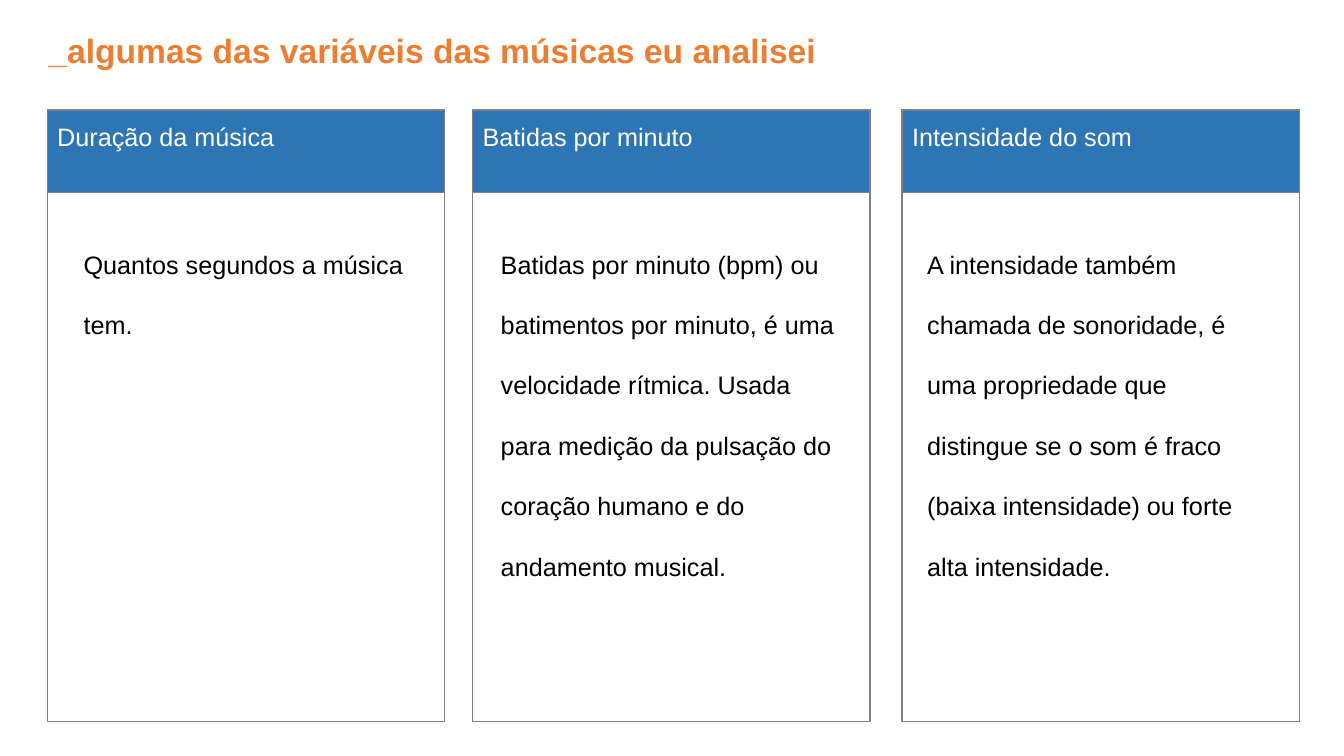
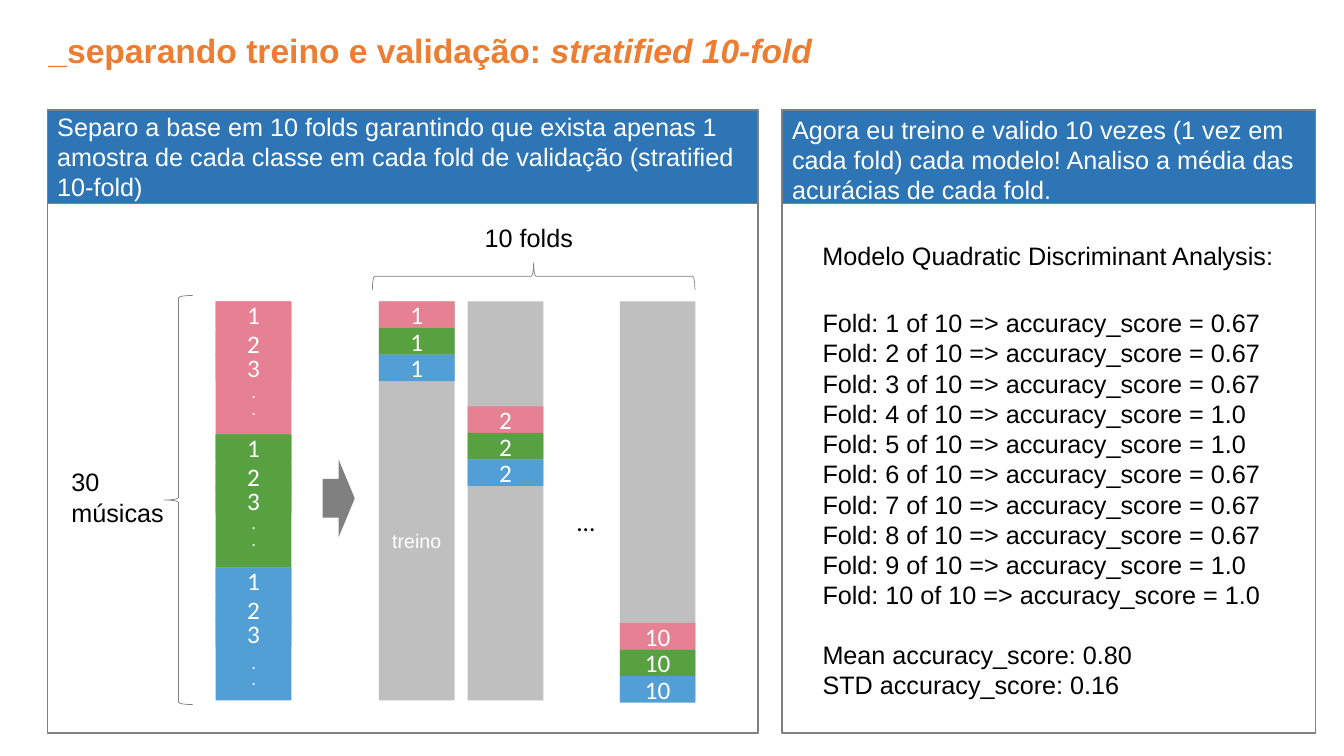
"""Build two slides on song variables and stratified ten-fold validation."""
from dataclasses import dataclass
from typing import Any, NamedTuple, Optional

from lxml.etree import SubElement
from pptx import Presentation
from pptx.dml.color import RGBColor
from pptx.dml.fill import FillFormat
from pptx.enum.shapes import MSO_SHAPE
from pptx.enum.text import MSO_ANCHOR, MSO_AUTO_SIZE, PP_ALIGN
from pptx.oxml.ns import qn
from pptx.shapes.autoshape import Shape
from pptx.slide import Slide
from pptx.text.text import TextFrame
from pptx.util import Pt

ORANGE, BLUE, GREY, SILVER = "ED7D31", "2E75B6", "808080", "BFBFBF"
WHITE, BLACK = "FFFFFF", "000000"
CARD_TOP = 78.5
CELL_HEIGHT = 19
COLUMN_TOP, COLUMN_WIDTH = 215.3, 54
SEGMENT_HEIGHT = 95
DIGIT_OFFSETS = (0, 20.2, 37.4)
ACCURACIES = (0.67, 0.67, 0.67, 1.0, 1.0, 0.67, 0.67, 0.67, 1.0, 1.0)


class Box(NamedTuple):
    left: float
    top: float
    width: float
    height: float


@dataclass(frozen=True)
class TextStyle:
    size: float = 18
    color: str = BLACK
    name: str = "Arial"
    bold: bool = False
    align: PP_ALIGN = PP_ALIGN.LEFT
    line_spacing: Optional[float] = None


@dataclass(frozen=True)
class Card:
    box: Box
    header: str
    header_height: float
    header_inset: float


@dataclass(frozen=True)
class Variable:
    left: float
    text_left: float
    name: str
    description: str


@dataclass(frozen=True)
class SongClass:
    color: str
    dots_top: float


@dataclass(frozen=True)
class Fold:
    label: str
    left: float
    validation_top: float
    caption: str = ""


PLAIN = TextStyle()
TITLE = TextStyle(size=24, color=ORANGE, bold=True)
HEADER = TextStyle(color=WHITE)
DESCRIPTION = TextStyle(line_spacing=2.0)
DIGIT = TextStyle(color=WHITE, name="Calibri", align=PP_ALIGN.CENTER)
DOTS = TextStyle(size=10, color=WHITE, name="Calibri", bold=True)
ELLIPSIS = TextStyle(name="Calibri")
TRAINING = TextStyle(size=14, color=WHITE, align=PP_ALIGN.CENTER)

VARIABLES = (
    Variable(33.8, 52.6, "Duração da música", "Quantos segundos a música tem."),
    Variable(337.7, 350.6, "Batidas por minuto",
             "Batidas por minuto (bpm) ou batimentos por minuto, é uma velocidade rítmica. "
             "Usada para medição da pulsação do coração humano e do andamento musical."),
    Variable(644.4, 655.2, "Intensidade do som",
             "A intensidade também chamada de sonoridade, é uma propriedade que distingue "
             "se o som é fraco (baixa intensidade) ou forte alta intensidade."),
)
VALIDATION_CARDS = (
    Card(Box(33.8, CARD_TOP, 507.6, 445),
         "Separo a base em 10 folds garantindo que exista apenas 1 amostra de cada classe "
         "em cada fold de validação (stratified 10-fold)", 67, 0.7),
    Card(Box(558.7, CARD_TOP, 380.9, 445),
         "Agora eu treino e valido 10 vezes (1 vez em cada fold) cada modelo! "
         "Analiso a média das acurácias de cada fold.", 67, 2.9),
)
SONG_CLASSES = (
    SongClass("E68193", 271.4),
    SongClass("58A141", 365),
    SongClass("529FD6", 464.4),
)
FOLDS = (
    Fold("1", 270.7, COLUMN_TOP, "treino"),
    Fold("2", 334.1, 290.2),
    Fold("10", 442.8, 445),
)


def set_values(target: Any, values: dict[str, Any]) -> None:
    for name, value in values.items():
        setattr(target, name, value)


def set_color(fill: FillFormat, color: Optional[str]) -> None:
    if color is None:
        fill.background()
    else:
        fill.solid()
        fill.fore_color.rgb = RGBColor.from_string(color)


def place(shape: Shape, box: Box) -> None:
    set_values(shape, {name: Pt(value) for name, value in box._asdict().items()})


def write(frame: TextFrame, paragraphs: list[list[str]], style: TextStyle) -> None:
    set_values(frame, {"word_wrap": True, "auto_size": MSO_AUTO_SIZE.NONE})
    for index, runs in enumerate(paragraphs):
        paragraph = frame.paragraphs[0] if index == 0 else frame.add_paragraph()
        set_values(paragraph, {"alignment": style.align, "line_spacing": style.line_spacing,
                               "space_before": Pt(0)})
        for text in runs:
            run = paragraph.add_run()
            run.text = text
            set_values(run.font, {"name": style.name, "size": Pt(style.size),
                                  "bold": style.bold})
            set_color(run.font.fill, style.color)


def add_text(slide: Slide, box: Box, lines: list[str], style: TextStyle = PLAIN) -> None:
    shape = slide.shapes.add_textbox(*(Pt(value) for value in box))
    write(shape.text_frame, [[line] for line in lines], style)


def add_figure(slide: Slide, kind: MSO_SHAPE, box: Box, fill: Optional[str] = None,
               line: Optional[str] = None, line_width: float = 1, rotation: float = 0) -> Shape:
    shape = slide.shapes.add_shape(kind, *(Pt(value) for value in box))
    shape.shadow.inherit = False
    shape.rotation = rotation
    set_color(shape.fill, fill)
    set_color(shape.line.fill, line)
    if line:
        shape.line.width = Pt(line_width)
    return shape


def add_cell(slide: Slide, box: Box, fill: str, text: str, style: TextStyle = DIGIT,
             top_inset: float = 0) -> None:
    cell = add_figure(slide, MSO_SHAPE.RECTANGLE, box, fill)
    set_values(cell.text_frame, {"margin_top": Pt(top_inset), "margin_bottom": Pt(0),
                                 "vertical_anchor": MSO_ANCHOR.MIDDLE})
    if text:
        write(cell.text_frame, [[text]], style)


def add_title(slide: Slide, *runs: str) -> None:
    title = slide.shapes.title
    place(title, Box(27.4, 18, 590, 36))
    title.text_frame.vertical_anchor = MSO_ANCHOR.TOP
    write(title.text_frame, [list(runs)], TITLE)
    for run in title.text_frame.paragraphs[0].runs[1:]:
        run.font.italic = True


def add_card(slide: Slide, card: Card) -> None:
    add_figure(slide, MSO_SHAPE.RECTANGLE, card.box, line=GREY)
    header = add_figure(slide, MSO_SHAPE.RECTANGLE,
                        card.box._replace(height=card.header_height), BLUE, GREY)
    set_values(header.text_frame, {"margin_top": Pt(card.header_inset), "margin_bottom": Pt(0),
                                   "vertical_anchor": MSO_ANCHOR.TOP})
    write(header.text_frame, [[card.header]], HEADER)


def add_song_column(slide: Slide) -> None:
    left = 154.1
    for index, song_class in enumerate(SONG_CLASSES):
        top = COLUMN_TOP + index * SEGMENT_HEIGHT
        add_figure(slide, MSO_SHAPE.RECTANGLE, Box(left, top, COLUMN_WIDTH, SEGMENT_HEIGHT),
                   song_class.color)
        for number, offset in enumerate(DIGIT_OFFSETS, start=1):
            add_cell(slide, Box(left, top + offset, COLUMN_WIDTH, CELL_HEIGHT),
                     song_class.color, str(number))
        add_text(slide, Box(172.8, song_class.dots_top, 17.3, 31.7), [".", "."], DOTS)


def add_fold(slide: Slide, fold: Fold) -> None:
    column = Box(fold.left, COLUMN_TOP, COLUMN_WIDTH, SEGMENT_HEIGHT * len(SONG_CLASSES))
    add_cell(slide, column, SILVER, fold.caption, TRAINING, CELL_HEIGHT * len(SONG_CLASSES))
    for index, song_class in enumerate(SONG_CLASSES):
        top = fold.validation_top + index * CELL_HEIGHT
        add_cell(slide, column._replace(top=top, height=CELL_HEIGHT), song_class.color,
                 fold.label)


def fill_accuracy_list(slide: Slide) -> None:
    body = slide.placeholders[1]
    place(body, Box(580.3, 216, 356.4, 291))
    lines = [f"Fold: {number} of {len(ACCURACIES)} => accuracy_score = {accuracy}"
             for number, accuracy in enumerate(ACCURACIES, start=1)]
    lines += ["Mean accuracy_score: 0.80", "STD accuracy_score: 0.16"]
    write(body.text_frame, [[line] for line in lines], PLAIN)
    for paragraph in body.text_frame.paragraphs:
        properties = paragraph._p.get_or_add_pPr()
        properties.set("marL", "0")
        properties.set("indent", "0")
        SubElement(properties, qn("a:buNone"))
    body.text_frame.paragraphs[len(ACCURACIES)].space_before = Pt(20.7)


def build_variables_slide(slide: Slide) -> None:
    add_title(slide, "_algumas das variáveis das músicas eu analisei")
    for variable in VARIABLES:
        add_card(slide, Card(Box(variable.left, CARD_TOP, 283.7, 437), variable.name, 59, 7.9))
        add_text(slide, Box(variable.text_left, 152.6, 262, 265), [variable.description],
                 DESCRIPTION)


def build_validation_slide(slide: Slide) -> None:
    add_title(slide, "_separando treino e validação: ", "stratified 10-fold")
    for card in VALIDATION_CARDS:
        add_card(slide, card)
    add_song_column(slide)
    for fold in FOLDS:
        add_fold(slide, fold)
    add_figure(slide, MSO_SHAPE.RIGHT_BRACE, Box(371.5, 82.1, 19.4, 230.4), line=GREY,
               line_width=0.5, rotation=270)
    add_figure(slide, MSO_SHAPE.RIGHT_BRACE, Box(117.4, 211, 20.2, 292.3), line=GREY,
               line_width=0.5, rotation=180)
    add_figure(slide, MSO_SHAPE.RIGHT_ARROW, Box(230.4, 328.3, 23, 55.4), GREY)
    add_text(slide, Box(404.6, 357.8, 32, 29), ["..."], ELLIPSIS)
    add_text(slide, Box(339.1, 155.5, 90, 29), ["10 folds"])
    add_text(slide, Box(43.9, 329.8, 90, 51), ["30", "músicas"])
    add_text(slide, Box(580.3, 167.8, 356.4, 29), ["Modelo Quadratic Discriminant Analysis:"])
    fill_accuracy_list(slide)


def main() -> None:
    presentation = Presentation()
    set_values(presentation, {"slide_width": Pt(960), "slide_height": Pt(540)})
    layouts = presentation.slide_layouts
    build_variables_slide(presentation.slides.add_slide(layouts.get_by_name("Title Only")))
    build_validation_slide(presentation.slides.add_slide(layouts.get_by_name("Title and Content")))
    presentation.save("out.pptx")


if __name__ == "__main__":
    main()
